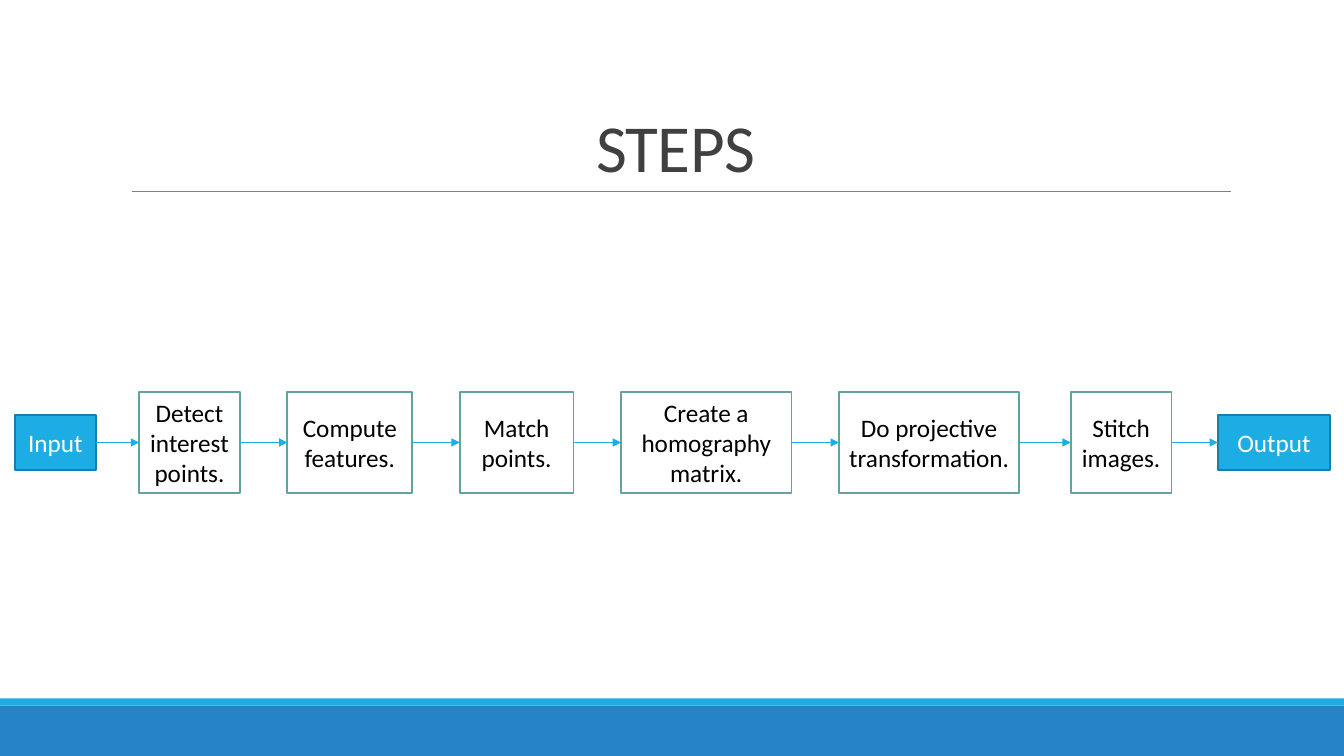
"""Build the STEPS slide: an image-stitching pipeline from input to output."""
from dataclasses import dataclass
from itertools import pairwise

from lxml import etree
from pptx import Presentation
from pptx.dml.color import RGBColor
from pptx.enum.shapes import MSO_CONNECTOR, MSO_SHAPE
from pptx.enum.text import MSO_ANCHOR, MSO_AUTO_SIZE, PP_ALIGN
from pptx.oxml.ns import qn
from pptx.shapes.autoshape import Shape
from pptx.shapes.connector import Connector
from pptx.slide import Slide
from pptx.text.text import TextFrame
from pptx.util import Emu, Pt

RECTANGLE = MSO_SHAPE.RECTANGLE
STRAIGHT = MSO_CONNECTOR.STRAIGHT
CENTER = PP_ALIGN.CENTER
MIDDLE = MSO_ANCHOR.MIDDLE
BOTTOM = MSO_ANCHOR.BOTTOM
NO_AUTOFIT = MSO_AUTO_SIZE.NONE

WHITE = RGBColor(0xFF, 0xFF, 0xFF)
BLACK = RGBColor(0x00, 0x00, 0x00)
CHARCOAL = RGBColor(0x40, 0x40, 0x40)
GRAY = RGBColor(0x80, 0x80, 0x80)
BLUE = RGBColor(0x26, 0x83, 0xC6)
SKY = RGBColor(0x1C, 0xAD, 0xE4)
DEEP_SKY = RGBColor(0x15, 0x80, 0xA9)
TEAL = RGBColor(0x62, 0xA3, 0x9F)

FONT = "Calibri"
EMU_PER_PX = 9144
SLIDE_WIDTH, SLIDE_HEIGHT = 1333, 750
FLOW_CENTER = 439
LEFT_SITE, RIGHT_SITE = 1, 3


@dataclass(frozen=True)
class BoxStyle:
    height: int
    fill: RGBColor
    line: RGBColor
    text: RGBColor


@dataclass(frozen=True)
class Box:
    text: str
    left: int
    width: int
    style: BoxStyle


@dataclass(frozen=True)
class Bar:
    top: int
    height: int
    fill: RGBColor


TERMINAL = BoxStyle(54, SKY, DEEP_SKY, WHITE)
STEP = BoxStyle(100, WHITE, TEAL, BLACK)

FLOW = (
    Box("Input", 15, 80, TERMINAL),
    Box("Detect interest points.", 138, 100, STEP),
    Box("Compute features.", 285, 124, STEP),
    Box("Match points.", 456, 113, STEP),
    Box("Create a homography matrix.", 616, 169, STEP),
    Box("Do projective transformation.", 832, 179, STEP),
    Box("Stitch images.", 1062, 100, STEP),
    Box("Output", 1208, 111, TERMINAL),
)
BARS = (Bar(700, 50, BLUE), Bar(693, 7, SKY))


def px(length: int) -> Emu:
    """Turn px into EMU."""
    return Emu(length * EMU_PER_PX)


def write_text(frame: TextFrame, text: str, *, size: float, color: RGBColor,
               anchor: MSO_ANCHOR = MIDDLE, line_spacing: float = 1.0,
               tracking: float = 0) -> None:
    """Fill a text frame with one centred, formatted paragraph."""
    frame.word_wrap = True
    frame.auto_size = NO_AUTOFIT
    frame.vertical_anchor = anchor
    paragraph = frame.paragraphs[0]
    paragraph.alignment = CENTER
    paragraph.line_spacing = line_spacing
    run = paragraph.add_run()
    run.text = text
    run.font.name = FONT
    run.font.size = Pt(size)
    run.font.color.rgb = color
    if tracking:
        run.font._element.set("spc", str(round(tracking * 100)))


def add_rectangle(slide: Slide, left: int, top: int, width: int, height: int,
                  fill: RGBColor) -> Shape:
    """Add a flat rectangle without an outline."""
    shape = slide.shapes.add_shape(RECTANGLE, px(left), px(top), px(width), px(height))
    shape.shadow.inherit = False
    shape.fill.solid()
    shape.fill.fore_color.rgb = fill
    shape.line.fill.background()
    return shape


def add_box(slide: Slide, box: Box) -> Shape:
    """Add one labelled box centred on the flow's axis."""
    style = box.style
    shape = add_rectangle(slide, box.left, FLOW_CENTER - style.height // 2,
                          box.width, style.height, style.fill)
    shape.line.color.rgb = style.line
    shape.line.width = Pt(1.25)
    write_text(shape.text_frame, box.text, size=18, color=style.text)
    return shape


def add_line(slide: Slide, start: int, end: int, y: int, *, color: RGBColor,
             width: float) -> Connector:
    """Add a flat horizontal line."""
    connector = slide.shapes.add_connector(STRAIGHT, px(start), px(y), px(end), px(y))
    connector.line.color.rgb = color
    connector.line.width = Pt(width)
    etree.SubElement(connector._element.spPr, qn("a:effectLst"))
    return connector


def add_arrow(slide: Slide, source: Shape, target: Shape) -> None:
    """Connect two neighbouring boxes with an arrow."""
    connector = add_line(slide, 0, 0, FLOW_CENTER, color=SKY, width=1)
    connector.begin_connect(source, RIGHT_SITE)
    connector.end_connect(target, LEFT_SITE)
    etree.SubElement(connector.line._get_or_add_ln(), qn("a:tailEnd"), type="triangle")


def add_title(slide: Slide, text: str) -> None:
    """Place and format the title placeholder."""
    title = slide.shapes.title
    title.left, title.top, title.width, title.height = map(px, (120, 31, 1100, 159))
    write_text(title.text_frame, text, size=48, color=CHARCOAL, anchor=BOTTOM,
               line_spacing=0.85, tracking=-0.5)


def main() -> None:
    """Build and save the presentation."""
    presentation = Presentation()
    presentation.slide_width = px(SLIDE_WIDTH)
    presentation.slide_height = px(SLIDE_HEIGHT)
    title_only = presentation.slide_layouts.get_by_name("Title Only")
    slide = presentation.slides.add_slide(title_only)

    for bar in BARS:
        add_rectangle(slide, 0, bar.top, SLIDE_WIDTH, bar.height, bar.fill)
    add_line(slide, 131, 1221, 190, color=GRAY, width=0.5)
    add_title(slide, "STEPS")

    shapes = [add_box(slide, box) for box in FLOW]
    for source, target in pairwise(shapes):
        add_arrow(slide, source, target)

    presentation.save("out.pptx")


if __name__ == "__main__":
    main()
